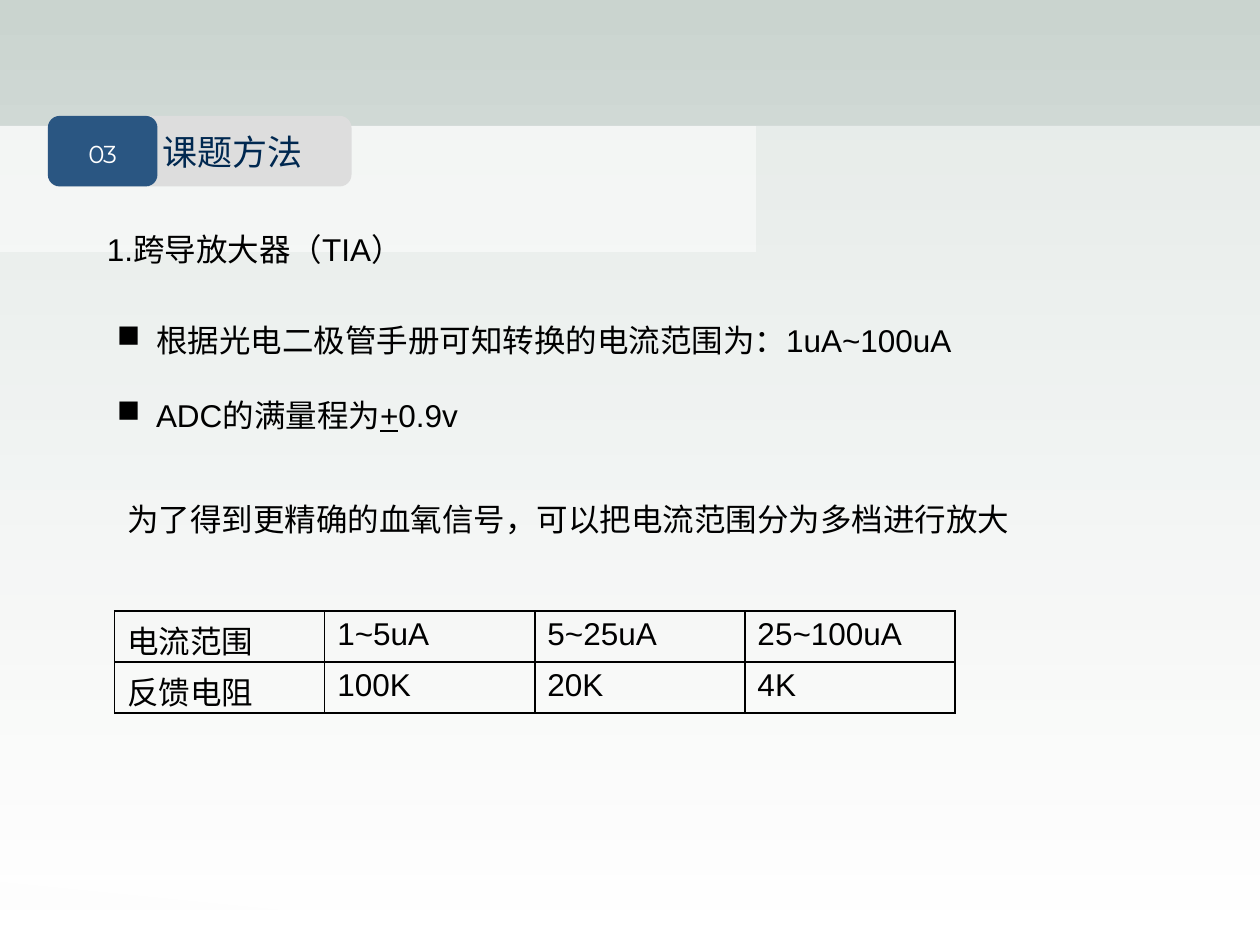
from lxml import etree
from pptx import Presentation
from pptx.dml.color import RGBColor
from pptx.enum.shapes import MSO_SHAPE
from pptx.enum.text import MSO_ANCHOR, PP_ALIGN
from pptx.oxml.ns import qn
from pptx.util import Inches, Pt

ROUNDED = MSO_SHAPE.FLOWCHART_ALTERNATE_PROCESS
LEFT, CENTER = PP_ALIGN.LEFT, PP_ALIGN.CENTER
MIDDLE = MSO_ANCHOR.MIDDLE

BLACK, WHITE, NAVY = "000000", "FFFFFF", "002850"
BLUE, GREY, SAGE = "2A5682", "DDDDDD", "CAD4CF"

LOWER_PANEL = [(0.01, 7.49), (10.03, 7.5), (10, 1.21), (0, 1.21)]
HEADER_BAND = [
    (9.98, 0.77), (4.26, 0.76), (4.13, 0.76), (4.08, 0.77), (3.78, 0.91),
    (3.69, 0.94), (3.56, 0.96), (0, 0.95), (0, 1.5), (6.26, 1.5),
    (6.38, 1.47), (6.74, 1.31), (6.92, 1.3), (9.99, 1.3),
]
FEEDBACK_ROWS = [
    ["电流范围", "1~5uA", "5~25uA", "25~100uA"],
    ["反馈电阻", "100K", "20K", "4K"],
]


def color(hex_value):
    """Turn a hex string into a colour."""
    return RGBColor.from_string(hex_value)


def paint_background(slide):
    """Fill the slide with a gradient running from top to bottom."""
    fill = slide.background.fill
    fill.gradient()
    fill.gradient_angle = 270
    for stop, hex_value, position in zip(fill.gradient_stops, (SAGE, WHITE), (0, 1)):
        stop.color.rgb = color(hex_value)
        stop.position = position


def add_veil(slide, points):
    """Add a half-transparent white outline."""
    builder = slide.shapes.build_freeform(*points[0], scale=Inches(1))
    builder.add_line_segments(points[1:], close=True)
    veil = builder.convert_to_shape()
    veil.shadow.inherit = False
    veil.fill.solid()
    veil.fill.fore_color.rgb = color(WHITE)
    veil.line.fill.background()
    srgb = veil._element.spPr.find(".//" + qn("a:srgbClr"))
    etree.SubElement(srgb, qn("a:alpha"), val="50000")


def add_plate(slide, width, fill):
    """Add a rounded plate of the section label."""
    plate = slide.shapes.add_shape(
        ROUNDED, Inches(0.38), Inches(0.92), Inches(width), Inches(0.56))
    plate.shadow.inherit = False
    plate.fill.solid()
    plate.fill.fore_color.rgb = color(fill)
    plate.line.fill.background()
    return plate


def add_run(paragraph, text, size=18, font="Arial", hex_value=BLACK):
    """Append a formatted run to a paragraph."""
    run = paragraph.add_run()
    run.text = text
    run.font.size = Pt(size)
    run.font.name = font
    run.font.color.rgb = color(hex_value)
    return run


def add_text_frame(slide, left, top, width, height, wrap=True):
    """Add a text box and return its text frame."""
    box = slide.shapes.add_textbox(
        Inches(left), Inches(top), Inches(width), Inches(height))
    box.text_frame.word_wrap = wrap
    return box.text_frame


def set_bullet(paragraph):
    """Give a paragraph a square bullet and a hanging indent."""
    properties = paragraph._p.get_or_add_pPr()
    properties.set("marL", str(Inches(0.31)))
    properties.set("indent", str(-Inches(0.31)))
    etree.SubElement(properties, qn("a:buChar"), char="■")


def add_section_label(slide):
    """Add the section title with its number."""
    title = add_plate(slide, 2.41, GREY).text_frame
    title.vertical_anchor = MIDDLE
    title.margin_left = Inches(0.88)
    title.margin_right = 0
    title.paragraphs[0].alignment = LEFT
    add_run(title.paragraphs[0], "课题方法", 20, hex_value=NAVY)
    add_plate(slide, 0.87, BLUE)
    number = add_text_frame(slide, 0.54, 1.05, 0.55, 0.28, wrap=False).paragraphs[0]
    number.alignment = CENTER
    digits = add_run(number, "03", 14, "Montserrat", WHITE)
    digits.font._element.set("spc", "-70")


def add_findings(slide):
    """Add the bulleted input and converter ranges."""
    frame = add_text_frame(slide, 0.83, 2.5, 7.71, 1.01)
    current = frame.paragraphs[0]
    add_run(current, "根据光电二极管手册可知转换的电流范围为：1uA~100uA")
    full_scale = frame.add_paragraph()
    full_scale.space_before = Pt(21)
    add_run(full_scale, "ADC的满量程为")
    add_run(full_scale, "+").font.underline = True
    add_run(full_scale, "0.9v")
    for paragraph in (current, full_scale):
        set_bullet(paragraph)


def set_borders(cell):
    """Draw thin black lines on all sides of a cell."""
    properties = cell._tc.get_or_add_tcPr()
    for index, side in enumerate(("lnL", "lnR", "lnT", "lnB")):
        line = etree.Element(qn(f"a:{side}"), w=str(Pt(1)))
        fill = etree.SubElement(line, qn("a:solidFill"))
        etree.SubElement(fill, qn("a:srgbClr"), val=BLACK)
        properties.insert(index, line)


def add_feedback_table(slide):
    """Add the table of current ranges and feedback resistors."""
    table = slide.shapes.add_table(
        len(FEEDBACK_ROWS), len(FEEDBACK_ROWS[0]),
        Inches(0.91), Inches(4.85), Inches(6.67), Inches(0.81)).table
    table.first_row = False
    table.horz_banding = False
    for row, values in enumerate(FEEDBACK_ROWS):
        for column, value in enumerate(values):
            cell = table.cell(row, column)
            cell.fill.background()
            set_borders(cell)
            add_run(cell.text_frame.paragraphs[0], value)


def main():
    """Build and save the slide."""
    deck = Presentation()
    deck.slide_width, deck.slide_height = Inches(10), Inches(7.5)
    slide = deck.slides.add_slide(deck.slide_layouts[6])
    paint_background(slide)
    add_veil(slide, LOWER_PANEL)
    add_veil(slide, HEADER_BAND)
    add_section_label(slide)
    heading = add_text_frame(slide, 0.75, 1.78, 2.6, 0.4)
    add_run(heading.paragraphs[0], "1.跨导放大器（TIA）")
    add_findings(slide)
    conclusion = add_text_frame(slide, 0.91, 3.92, 7.48, 0.4)
    add_run(conclusion.paragraphs[0], "为了得到更精确的血氧信号，可以把电流范围分为多档进行放大")
    add_feedback_table(slide)
    deck.save("out.pptx")


if __name__ == "__main__":
    main()
